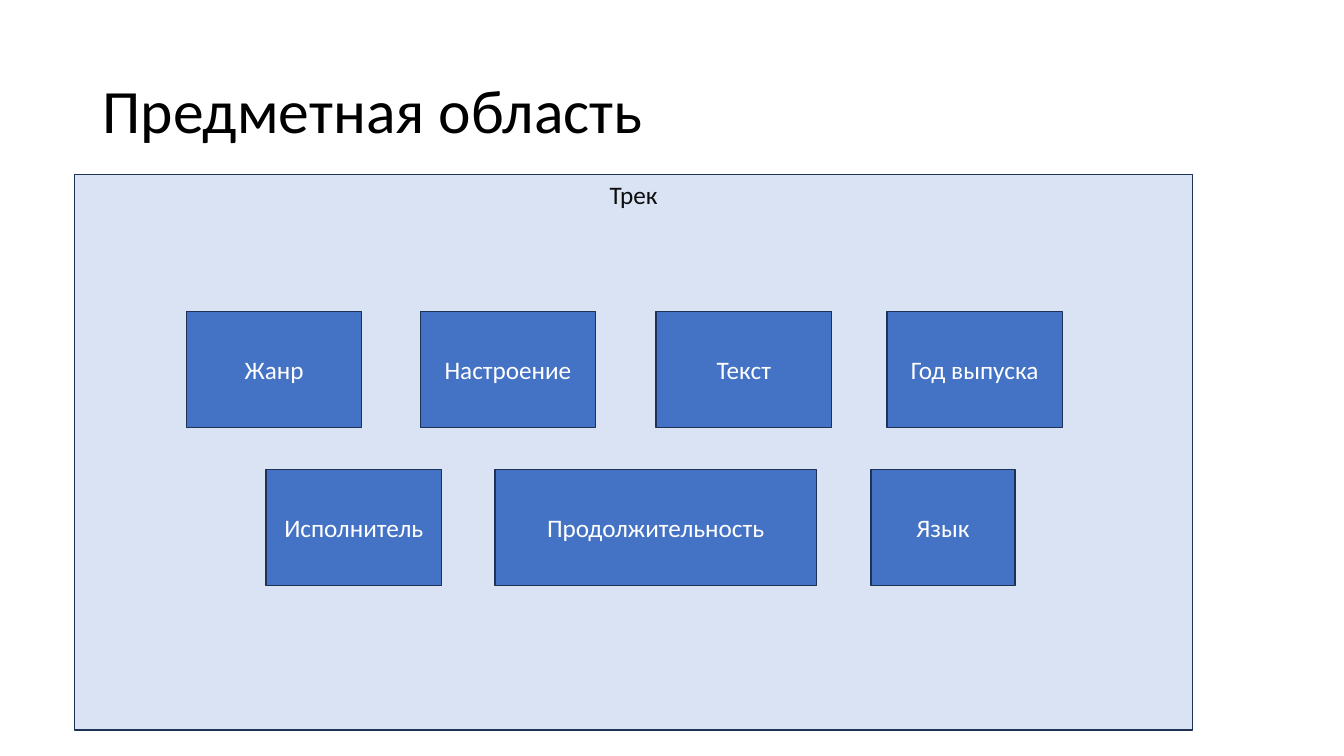
import pptx
import pptx.util
import pptx.dml.color
import pptx.enum.shapes
import pptx.enum.text

Pt = pptx.util.Pt
ANCHOR = pptx.enum.text.MSO_ANCHOR
ALIGN = pptx.enum.text.PP_ALIGN

COLORS = {
    "title": "000000",
    "panel": "DAE3F3",
    "panel_text": "0D0D0D",
    "box": "4472C4",
    "box_text": "FFFFFF",
    "line": "1E3256",
}

TITLE = "Предметная область"
TITLE_AREA = {"left": 66, "top": 28.8, "width": 828, "height": 104.4}
ENTITY = "Трек"
ENTITY_AREA = (53.3, 124.6, 798.5, 396.7)

BOX_WIDTH = 125.3
BOX_HEIGHT = 82.8
FIRST_ROW_TOP = 222.5
ROW_STEP = 113
ATTRIBUTE_ROWS = [
    [
        ("Жанр", 133.2, BOX_WIDTH),
        ("Настроение", 300.2, BOX_WIDTH),
        ("Текст", 468.7, BOX_WIDTH),
        ("Год выпуска", 633.6, BOX_WIDTH),
    ],
    [
        ("Исполнитель", 190.1, BOX_WIDTH),
        ("Продолжительность", 353.5, 229.7),
        ("Язык", 622.1, 103),
    ],
]


def rgb(name):
    return pptx.dml.color.RGBColor.from_string(COLORS[name])


def write(tf, text, size, color, anchor, align):
    tf.word_wrap = True
    tf.vertical_anchor = anchor
    p = tf.paragraphs[0]
    p.alignment = align
    r = p.add_run()
    r.text = text
    for name, value in {"name": "Calibri", "size": Pt(size)}.items():
        setattr(r.font, name, value)
    r.font.color.rgb = rgb(color)
    return p


def add_box(slide, text, area, fill, color, anchor):
    sp = slide.shapes.add_shape(
        pptx.enum.shapes.MSO_SHAPE.RECTANGLE, *[Pt(v) for v in area]
    )
    sp.shadow.inherit = False
    sp.fill.solid()
    sp.fill.fore_color.rgb = rgb(fill)
    sp.line.color.rgb = rgb("line")
    sp.line.width = Pt(1)
    write(sp.text_frame, text, 18, color, anchor, ALIGN.CENTER)


def main():
    prs = pptx.Presentation()
    prs.slide_width, prs.slide_height = Pt(960), Pt(540)
    slide = prs.slides.add_slide(prs.slide_layouts[5])

    title = slide.shapes.title
    for name, value in TITLE_AREA.items():
        setattr(title, name, Pt(value))
    p = write(title.text_frame, TITLE, 44, "title", ANCHOR.MIDDLE, ALIGN.LEFT)
    p.line_spacing = 0.9

    add_box(slide, ENTITY, ENTITY_AREA, "panel", "panel_text", ANCHOR.TOP)
    for i, row in enumerate(ATTRIBUTE_ROWS):
        top = FIRST_ROW_TOP + i * ROW_STEP
        for text, left, width in row:
            area = (left, top, width, BOX_HEIGHT)
            add_box(slide, text, area, "box", "box_text", ANCHOR.MIDDLE)

    prs.save("out.pptx")


if __name__ == "__main__":
    main()
